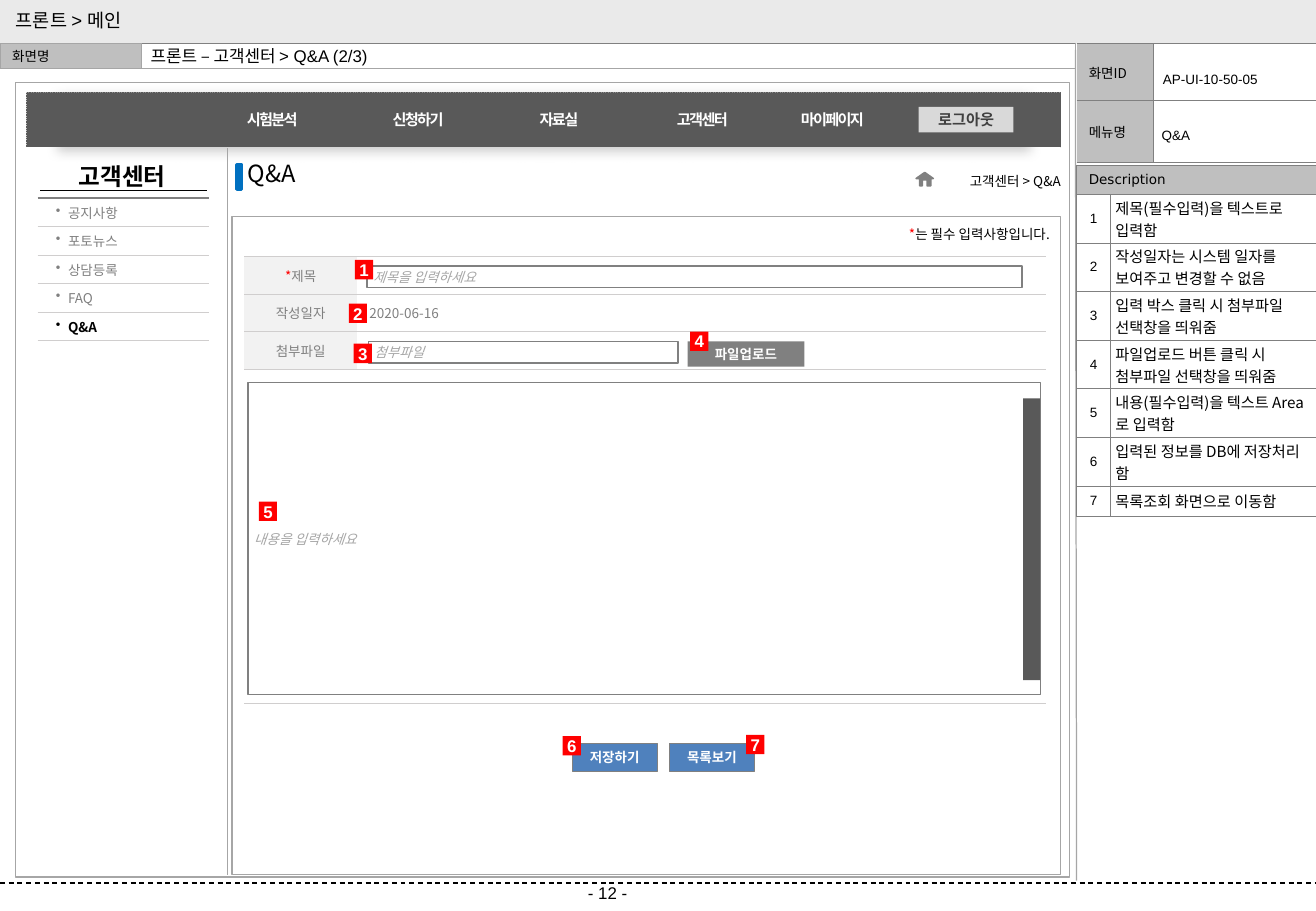
from lxml import etree
from pptx import Presentation
from pptx.dml.color import RGBColor
from pptx.enum.dml import MSO_LINE_DASH_STYLE as DASH
from pptx.enum.shapes import MSO_CONNECTOR, MSO_SHAPE
from pptx.enum.text import MSO_ANCHOR as ANCHOR, PP_ALIGN as ALIGN
from pptx.oxml.ns import qn
from pptx.util import Inches, Pt

KR = "Noto Sans CJK KR"
GRAY, LIGHT, DARK, SILVER = "808080", "A6A6A6", "595959", "BFBFBF"
RULE, BLACK, WHITE, RED = "D0CECE", "000000", "FFFFFF", "FF0000"
PLAIN_TABLE = "{2D5ABB26-0587-4C30-8999-92F81FD0307C}"


def paint(fill, color):
    """Fill with a hex colour, or leave empty when there is none."""
    if color:
        fill.solid()
        fill.fore_color.rgb = RGBColor.from_string(color)
    else:
        fill.background()


def write(tf, text, size=8, color=BLACK, font=KR, bold=False, italic=False,
          align=ALIGN.LEFT, spacing=0):
    """Write one paragraph; a leading asterisk becomes a red mark."""
    p = tf.paragraphs[0]
    p.alignment = align
    p.font.size, p.font.name = Pt(size), font
    p.font.bold, p.font.italic = bold, italic
    p.font.color.rgb = RGBColor.from_string(color)
    rpr = p._p.pPr.find(qn("a:defRPr"))
    etree.SubElement(rpr, qn("a:ea"), typeface=KR)
    if spacing:
        rpr.set("spc", str(spacing * 100))
    for part in (["*", text[1:]] if text.startswith("*") else [text]):
        r = p.add_run()
        r.text = part
        if part == "*":
            r.font.color.rgb = RGBColor.from_string(RED)
    return p


def set_margins(box, left, top, right, bottom):
    """Set the inner margins of a text frame or a cell, in inches."""
    box.margin_left, box.margin_top = Inches(left), Inches(top)
    box.margin_right, box.margin_bottom = Inches(right), Inches(bottom)


def add_text(s, text, x, y, w, h, anchor=ANCHOR.TOP, wrap=True, **style):
    """Add a text box without margins."""
    tf = s.shapes.add_textbox(Inches(x), Inches(y), Inches(w), Inches(h)).text_frame
    tf.word_wrap, tf.vertical_anchor = wrap, anchor
    set_margins(tf, 0, 0, 0, 0)
    write(tf, text, **style)


def add_box(s, x, y, w, h, fill=None, line=None, width=0.75, text=None, indent=0, **style):
    """Add a rectangle, with text in its middle if given."""
    sp = s.shapes.add_shape(MSO_SHAPE.RECTANGLE, Inches(x), Inches(y), Inches(w), Inches(h))
    sp.shadow.inherit = False
    paint(sp.fill, fill)
    paint(sp.line.fill, line)
    if line:
        sp.line.width = Pt(width)
    if text:
        tf = sp.text_frame
        tf.vertical_anchor = ANCHOR.MIDDLE
        set_margins(tf, indent, 0, 0, 0)
        write(tf, text, **style)
    return sp


def add_line(s, x1, y1, x2, y2, color=LIGHT, dash=None):
    """Add a thin straight line."""
    c = s.shapes.add_connector(MSO_CONNECTOR.STRAIGHT, Inches(x1), Inches(y1),
                               Inches(x2), Inches(y2))
    paint(c.line.fill, color)
    c.line.width = Pt(0.75)
    if dash:
        c.line.dash_style = dash
    etree.SubElement(c._element.spPr, qn("a:effectLst"))


def add_grid(s, x, y, cols, rows):
    """Add an unstyled table with the given column widths and row heights."""
    frame = s.shapes.add_table(len(rows), len(cols), Inches(x), Inches(y),
                               Inches(sum(cols)), Inches(sum(rows)))
    table = frame.table
    table.first_row = table.horz_banding = False
    table._tbl.tblPr.find(qn("a:tableStyleId")).text = PLAIN_TABLE
    for column, w in zip(table.columns, cols):
        column.width = Inches(w)
    for row, h in zip(table.rows, rows):
        row.height = Inches(h)
    return table


def set_cell(cell, text="", fill=None, borders=None, margins=(0.1, 0.05, 0.1, 0.05), **style):
    """Set a cell's borders, given as side: (colour, points), then fill and text."""
    tcpr = cell._tc.get_or_add_tcPr()
    for side in "LRTB":
        if side in (borders or {}):
            color, width = borders[side]
            ln = etree.SubElement(tcpr, qn(f"a:ln{side}"), w=str(Pt(width)))
            solid = etree.SubElement(ln, qn("a:solidFill"))
            etree.SubElement(solid, qn("a:srgbClr"), val=color)
    paint(cell.fill, fill)
    cell.vertical_anchor = ANCHOR.MIDDLE
    set_margins(cell, *margins)
    p = cell.text_frame.paragraphs[0]
    if text:
        write(cell.text_frame, text, **style)
    else:
        etree.SubElement(p._p, qn("a:endParaRPr"), sz="800")
    return p


def add_badge(s, number, x, y):
    """Add a red number mark."""
    add_box(s, x, y, 0.15, 0.16, RED, text=str(number), size=10, color=WHITE,
            font="Arial", bold=True, align=ALIGN.CENTER)


def add_button(s, text, x, y, w, h, fill, line=None, color=WHITE, **style):
    """Add a button with a bold centred label."""
    add_box(s, x, y, w, h, fill, line, text=text, color=color, bold=True,
            align=ALIGN.CENTER, **style)


def add_field(s, text, x, y, w, h):
    """Add an input field with a hint."""
    add_box(s, x, y, w, h, WHITE, GRAY, text=text, indent=0.05, color=LIGHT, italic=True)


def add_page_frame(s):
    """Draw the page header, rules and screen information tables."""
    add_line(s, 8.85, 0.41, 8.86, 7.25)
    add_box(s, 0, 0, 10.83, 0.36, "EAEAEA")
    add_line(s, 0, 7.27, 10.83, 7.27, BLACK, DASH.DASH)
    add_text(s, "- 12 -", 3.61, 7.27, 2.78, 0.18, size=10, font="Arial", align=ALIGN.CENTER)
    name = add_grid(s, 0, 0.36, [1.16, 7.69], [0.2])
    edges = dict.fromkeys("LRTB", (LIGHT, 0.5))
    set_cell(name.cell(0, 0), "화면명", SILVER, edges, (0.1, 0, 0, 0))
    set_cell(name.cell(0, 1), borders={**edges, "T": (GRAY, 0.5)}, margins=(0, 0, 0, 0))
    info = add_grid(s, 8.86, 0.36, [0.63, 1.34], [0.47, 0.51])
    edges = dict.fromkeys("RTB", (GRAY, 0.5))
    for i, label in enumerate(["화면ID", "메뉴명"]):
        set_cell(info.cell(i, 0), label, SILVER, edges)
        set_cell(info.cell(i, 1), borders=edges)
    add_text(s, "프론트 > 메인", 0.13, 0.07, 0.99, 0.19, wrap=False, size=11, font="Arial")
    add_text(s, "프론트 – 고객센터 > Q&A (2/3)", 1.24, 0.38, 2.01, 0.17, wrap=False,
             size=10, font="Arial")
    for text, x, y in [("AP-UI-10-50-05", 9.57, 0.54), ("Q&A", 9.56, 1)]:
        add_text(s, text, x, y, 1.24, 0.22, ANCHOR.MIDDLE, font="Arial")


def add_navigation(s):
    """Draw the site frame, the dark top bar and its menu."""
    add_box(s, 0.13, 0.68, 8.67, 6.54, line=LIGHT)
    bar = add_box(s, 0.22, 0.76, 8.51, 0.45, DARK, DARK, 0.5)
    bar.line.dash_style = DASH.ROUND_DOT
    shadow = etree.SubElement(bar._element.spPr.find(qn("a:effectLst")), qn("a:outerShdw"),
                              blurRad=str(Pt(7)), dist=str(Pt(2)), dir="5400000",
                              sx="94000", algn="ctr")
    tint = etree.SubElement(shadow, qn("a:srgbClr"), val=BLACK)
    etree.SubElement(tint, qn("a:alpha"), val="20000")
    for text, center in [("시험분석", 2.24), ("신청하기", 3.44), ("자료실", 4.6),
                         ("고객센터", 5.78), ("마이페이지", 6.85)]:
        add_text(s, text, center - 0.45, 0.91, 0.9, 0.15, size=9, color=WHITE, bold=True,
                 align=ALIGN.CENTER, spacing=-1)
    add_button(s, "로그아웃", 7.56, 0.88, 0.78, 0.21, "D9D9D9", color="404040",
               size=9, font="Arial")


def add_side_menu(s):
    """Draw the side title and the bulleted menu."""
    add_text(s, "고객센터", 0.3, 1.33, 1.41, 0.26, size=14, bold=True, align=ALIGN.CENTER)
    add_line(s, 0.33, 1.57, 1.7, 1.57, BLACK)
    items = ["공지사항", "포토뉴스", "상담등록", "FAQ", "Q&A"]
    menu = add_grid(s, 0.31, 1.63, [1.41], [0.235] * len(items))
    for i, item in enumerate(items):
        current = item == "Q&A"
        top = (RULE, 0.25) if i else (GRAY, 1)
        p = set_cell(menu.cell(i, 0), item, WHITE, {"T": top, "B": (RULE, 0.25)},
                     (0.1, 0.03, 0.1, 0.03), color=BLACK if current else GRAY, bold=current)
        ppr = p._p.pPr
        ppr.set("marL", str(Inches(0.15)))
        ppr.set("indent", str(Inches(-0.1)))
        bullet = etree.Element(qn("a:buChar"), char="•")
        ppr.insert(0, bullet)


def add_home_icon(s):
    """Draw the home icon of the breadcrumb."""
    points = [(7.61, 1.42), (7.68, 1.47), (7.66, 1.47), (7.66, 1.53), (7.63, 1.53),
              (7.63, 1.48), (7.59, 1.48), (7.59, 1.53), (7.57, 1.53), (7.57, 1.47),
              (7.54, 1.47)]
    (x, y), *rest = [(Inches(px), Inches(py)) for px, py in points]
    builder = s.shapes.build_freeform(x, y)
    builder.add_line_segments(rest, close=True)
    sp = builder.convert_to_shape()
    sp.shadow.inherit = False
    paint(sp.fill, GRAY)
    paint(sp.line.fill, GRAY)
    sp.line.width = Pt(1)


def add_form(s):
    """Draw the question form with its fields and buttons."""
    add_line(s, 1.87, 1.22, 1.87, 7.2)
    add_box(s, 1.95, 1.36, 0.04, 0.2, "0070C0", "0070C0", 2)
    add_text(s, "Q&A", 2.04, 1.31, 0.4, 0.24, wrap=False, size=14)
    add_box(s, 1.91, 1.78, 6.82, 5.42, line=LIGHT)
    add_text(s, "고객센터 > Q&A", 6.05, 1.37, 2.68, 0.24, ANCHOR.MIDDLE, align=ALIGN.RIGHT)
    add_home_icon(s)
    add_text(s, "*는 필수 입력사항입니다.", 7.15, 1.81, 1.49, 0.24, ANCHOR.MIDDLE,
             align=ALIGN.RIGHT)
    form = add_grid(s, 2.01, 2.11, [0.93, 5.67], [0.31] * 3 + [2.75])
    edges = dict.fromkeys("TB", (RULE, 0.25))
    for i, (label, value) in enumerate([("*제목", ""), ("작성일자", "2020-06-16"),
                                        ("첨부파일", "")]):
        set_cell(form.cell(i, 0), label, "F2F2F2", edges, color=GRAY, align=ALIGN.CENTER)
        set_cell(form.cell(i, 1), value, WHITE, edges, color=GRAY)
    form.cell(3, 0).merge(form.cell(3, 1))
    for column in range(2):
        set_cell(form.cell(3, column), borders=edges)
    add_field(s, "제목을 입력하세요", 3.02, 2.19, 5.39, 0.18)
    add_field(s, "첨부파일", 3.03, 2.81, 2.55, 0.18)
    add_field(s, "내용을 입력하세요", 2.04, 3.15, 6.52, 2.57)
    add_box(s, 8.42, 3.28, 0.14, 2.32, DARK)
    add_button(s, "파일업로드", 5.66, 2.81, 0.96, 0.21, GRAY)
    for text, x in [("저장하기", 4.71), ("목록보기", 5.51)]:
        add_button(s, text, x, 6.12, 0.7, 0.23, "4F81BD", GRAY, font="Calibri")
    spots = [(2.92, 2.14), (2.87, 2.5), (2.91, 2.83), (5.68, 2.73), (2.13, 4.13),
             (4.63, 6.06), (6.14, 6.05)]
    for number, (x, y) in enumerate(spots, 1):
        add_badge(s, number, x, y)


def add_descriptions(s):
    """Draw the numbered description table."""
    notes = ["제목(필수입력)을 텍스트로 입력함", "작성일자는 시스템 일자를 보여주고 변경할 수 없음",
             "입력 박스 클릭 시 첨부파일 선택창을 띄워줌",
             "파일업로드 버튼 클릭 시 첨부파일 선택창을 띄워줌",
             "내용(필수입력)을 텍스트 Area로 입력함", "입력된 정보를 DB에 저장처리 함",
             "목록조회 화면으로 이동함"]
    table = add_grid(s, 8.86, 1.36, [0.28, 1.69], [0.24] + [0.4] * 6 + [0.25])
    edges = dict.fromkeys("LRTB", (GRAY, 0.25))
    table.cell(0, 0).merge(table.cell(0, 1))
    set_cell(table.cell(0, 0), "Description", SILVER, edges, font="DejaVu Sans")
    set_cell(table.cell(0, 1), fill=SILVER, borders=edges)
    margins = (0.04, 0.02, 0.04, 0.02)
    for i, note in enumerate(notes, 1):
        set_cell(table.cell(i, 0), str(i), WHITE, edges, margins, font="Arial",
                 align=ALIGN.CENTER)
        set_cell(table.cell(i, 1), note, WHITE, edges, margins, size=9)


def main():
    """Build the screen design slide."""
    prs = Presentation()
    prs.slide_width, prs.slide_height = Inches(10.83), Inches(7.5)
    s = prs.slides.add_slide(prs.slide_layouts[6])
    add_page_frame(s)
    add_navigation(s)
    add_side_menu(s)
    add_form(s)
    add_descriptions(s)
    prs.save("out.pptx")


main()
